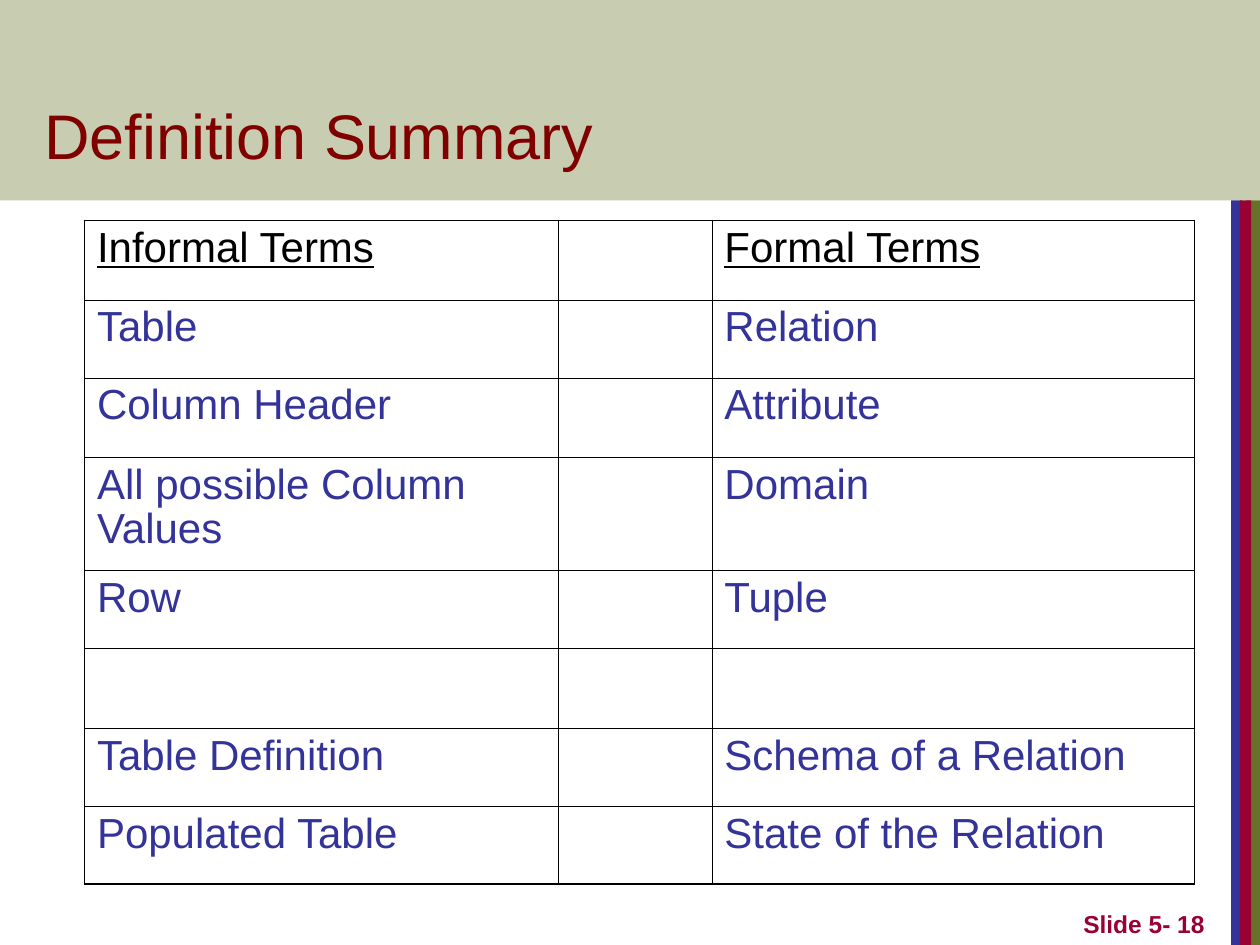
from pptx import Presentation
from pptx.dml.color import RGBColor
from pptx.enum.shapes import MSO_SHAPE
from pptx.enum.text import MSO_ANCHOR, PP_ALIGN
from pptx.oxml.ns import qn
from pptx.util import Inches, Pt
from lxml import etree

RECTANGLE = MSO_SHAPE.RECTANGLE
BOTTOM = MSO_ANCHOR.BOTTOM
LEFT, RIGHT = PP_ALIGN.LEFT, PP_ALIGN.RIGHT

OLIVE = RGBColor(0x67, 0x72, 0x28)
BLUE = RGBColor(0x33, 0x33, 0x99)
CRIMSON = RGBColor(0x99, 0x00, 0x33)
MAROON = RGBColor(0x80, 0x00, 0x00)
BLACK = RGBColor(0x00, 0x00, 0x00)

FONT = "Arial"
BAND_HEIGHT = 1.59
OUTER_LINE, INNER_LINE = 1.08, 0.45

TERMS = [
    ("Informal Terms", "", "Formal Terms"),
    ("Table", "", "Relation"),
    ("Column Header", "", "Attribute"),
    ("All possible Column Values", "", "Domain"),
    ("Row", "", "Tuple"),
    ("", "", ""),
    ("Table Definition", "", "Schema of a Relation"),
    ("Populated Table", "", "State of the Relation"),
]
COLUMN_WIDTHS = [3.76, 1.22, 3.83]
ROW_HEIGHTS = [0.63, 0.62, 0.63, 0.9, 0.62, 0.63, 0.62, 0.62]


class SlideBuilder:
    """Holds the style and the current slide."""

    def __init__(self, slide):
        self.slide = slide

    def add_text(self, frame, text, size, color, align=LEFT, bold=False, underline=False):
        frame.word_wrap = True
        paragraph = frame.paragraphs[0]
        paragraph.alignment = align
        run = paragraph.add_run()
        run.text = text
        font = run.font
        font.name, font.size, font.bold = FONT, Pt(size), bold
        font.underline = underline
        font.color.rgb = color
        return paragraph

    def bar(self, left, top, width, height, color, opacity=None):
        bar = self.slide.shapes.add_shape(
            RECTANGLE, Inches(left), Inches(top), Inches(width), Inches(height))
        bar.shadow.inherit = False
        bar.line.fill.background()
        bar.fill.solid()
        bar.fill.fore_color.rgb = color
        if opacity is not None:
            rgb = bar.element.spPr.find(qn("a:solidFill")).find(qn("a:srgbClr"))
            etree.SubElement(rgb, qn("a:alpha"), val=str(opacity * 1000))

    def title(self, text, left, top, width, height):
        title = self.slide.shapes.title
        title.left, title.top = Inches(left), Inches(top)
        title.width, title.height = Inches(width), Inches(height)
        title.text_frame.vertical_anchor = BOTTOM
        self.add_text(title.text_frame, text, 36, MAROON)
        # Bring the title in front of the translucent band
        title.element.getparent().append(title.element)

    def slide_number(self, text, left, top, width, height):
        box = self.slide.shapes.add_textbox(
            Inches(left), Inches(top), Inches(width), Inches(height))
        box.text_frame.vertical_anchor = BOTTOM
        self.add_text(box.text_frame, text, 14, CRIMSON, RIGHT, bold=True)

    def border(self, cell, side, width):
        properties = cell._tc.get_or_add_tcPr()
        line = etree.SubElement(properties, qn("a:ln" + side), w=str(Pt(width)))
        fill = etree.SubElement(line, qn("a:solidFill"))
        etree.SubElement(fill, qn("a:srgbClr"), val=str(BLACK))

    def table(self, rows, left, top, widths, heights):
        table = self.slide.shapes.add_table(
            len(rows), len(widths), Inches(left), Inches(top),
            Inches(sum(widths)), Inches(sum(heights))).table
        table.first_row = table.horz_banding = False
        for column, width in zip(table.columns, widths):
            column.width = Inches(width)
        for row, height in zip(table.rows, heights):
            row.height = Inches(height)
        last_row, last_column = len(rows) - 1, len(widths) - 1
        for r, terms in enumerate(rows):
            for c, term in enumerate(terms):
                cell = table.cell(r, c)
                outer_sides = {"L": c == 0, "R": c == last_column,
                               "T": r == 0, "B": r == last_row}
                for side, outer in outer_sides.items():
                    self.border(cell, side, OUTER_LINE if outer else INNER_LINE)
                cell.fill.background()
                if term:
                    header = r == 0
                    paragraph = self.add_text(cell.text_frame, term, 24,
                                              BLACK if header else BLUE, underline=header)
                    paragraph.line_spacing = 0.95


def main():
    presentation = Presentation()
    presentation.slide_width, presentation.slide_height = Inches(10), Inches(7.5)
    title_only = presentation.slide_layouts[5]
    builder = SlideBuilder(presentation.slides.add_slide(title_only))

    # Stripes down the right edge and the band across the top
    for left, width, color in [(9.89, 0.11, OLIVE), (9.77, 0.09, BLUE),
                               (9.84, 0.09, CRIMSON)]:
        builder.bar(left, BAND_HEIGHT, width, 7.5 - BAND_HEIGHT, color)
    builder.bar(0, 0, 10, BAND_HEIGHT, OLIVE, opacity=36)

    # Slide number and title
    builder.slide_number("Slide 5- 18", 7.58, 7, 2.08, 0.5)
    builder.title("Definition Summary", 0.25, 0.33, 8.53, 1.09)

    # Informal and formal terms side by side
    builder.table(TERMS, 0.67, 1.75, COLUMN_WIDTHS, ROW_HEIGHTS)

    presentation.save("out.pptx")


if __name__ == "__main__":
    main()
